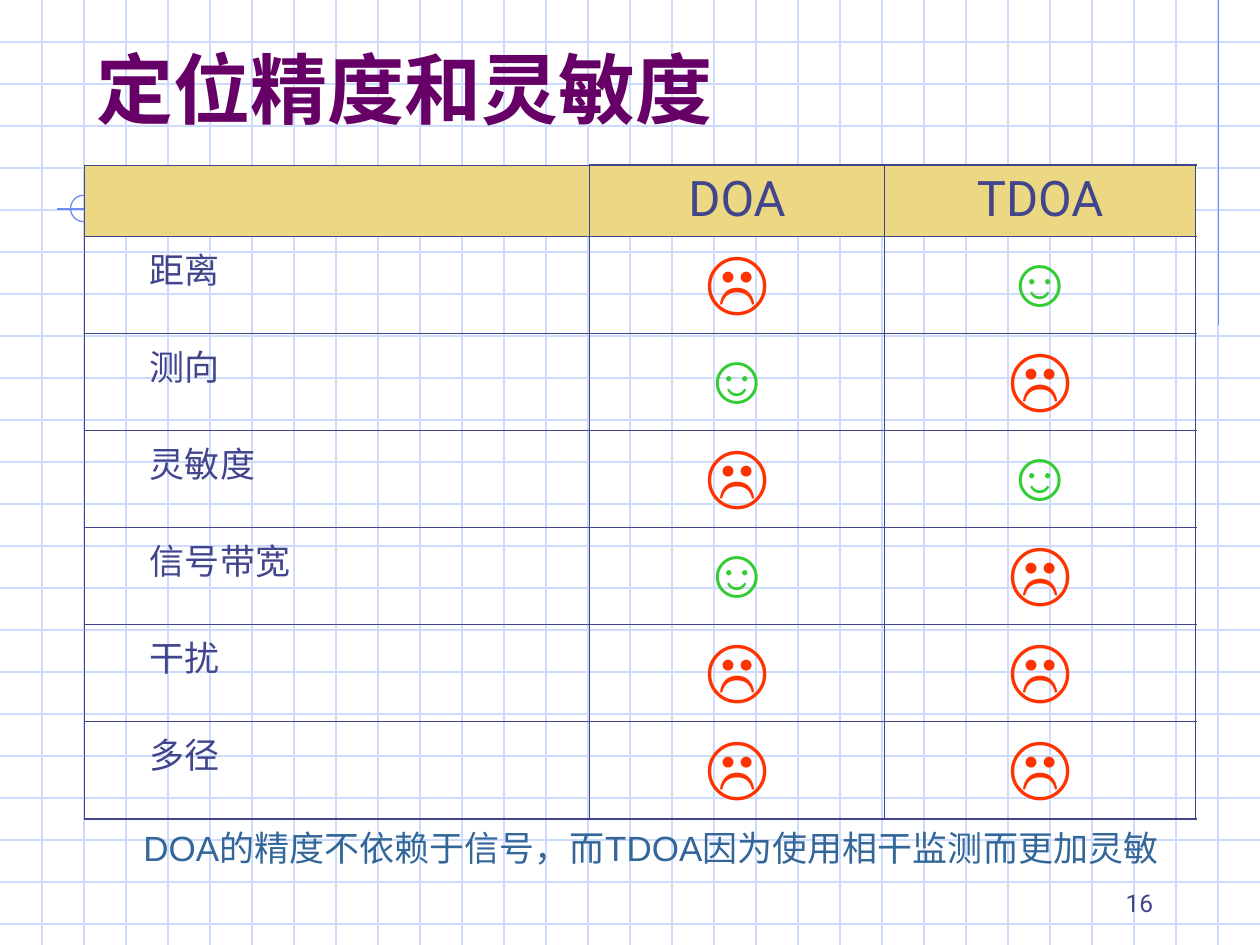
from lxml import etree
from pptx import Presentation
from pptx.dml.color import RGBColor
from pptx.enum.shapes import MSO_CONNECTOR, MSO_SHAPE
from pptx.enum.text import MSO_ANCHOR, PP_ALIGN
from pptx.oxml.ns import qn
from pptx.util import Inches, Pt

STRAIGHT = MSO_CONNECTOR.STRAIGHT
ARC = MSO_SHAPE.ARC
TOP, BOTTOM = MSO_ANCHOR.TOP, MSO_ANCHOR.BOTTOM
LEFT, CENTER, RIGHT = PP_ALIGN.LEFT, PP_ALIGN.CENTER, PP_ALIGN.RIGHT

COLORS = {
    "grid": "CFDBFD",
    "accent": "6F89F7",
    "title": "660066",
    "caption": "336699",
    "ink": "40458C",
    "header": "ECD882",
    "bad": "FF3300",
    "good": "33CC33",
}
FORMATS = {
    "title": {"size": Pt(44), "name": "Roboto", "bold": True},
    "caption": {"size": Pt(20), "name": "Arial", "bold": False},
    "number": {"size": Pt(14), "name": "Roboto", "bold": False},
    "header": {"size": Pt(28), "name": "Roboto", "bold": False},
    "label": {"size": Pt(20), "name": "Roboto", "bold": False},
    "face": {"size": Pt(40), "name": "Arial", "bold": True},
}
FACES = {"bad": "☹", "good": "☺"}
RATINGS = [
    ("距离", "bad", "good"),
    ("测向", "good", "bad"),
    ("灵敏度", "bad", "good"),
    ("信号带宽", "good", "bad"),
    ("干扰", "bad", "bad"),
    ("多径", "bad", "bad"),
]
WIDTH, HEIGHT = 10, 7.5
THIN, THICK = 0.45, 1.08


def rgb(color):
    return RGBColor.from_string(COLORS[color])


class Deck:
    def __init__(self):
        self.prs = Presentation()
        self.prs.slide_width = Inches(WIDTH)
        self.prs.slide_height = Inches(HEIGHT)
        self.s = self.prs.slides.add_slide(self.prs.slide_layouts[6])

    def paragraph(self, tf, text, style, color, align=LEFT):
        p = tf.paragraphs[0]
        p.alignment = align
        r = p.add_run()
        r.text = text
        for key, value in FORMATS[style].items():
            setattr(r.font, key, value)
        r.font.color.rgb = rgb(color)
        return p

    def text(self, box, text, style, color, align=LEFT, anchor=TOP):
        sp = self.s.shapes.add_textbox(*map(Inches, box))
        tf = sp.text_frame
        tf.word_wrap = True
        tf.vertical_anchor = anchor
        self.paragraph(tf, text, style, color, align)

    def line(self, x1, y1, x2, y2, color):
        sp = self.s.shapes.add_connector(STRAIGHT, *map(Inches, (x1, y1, x2, y2)))
        sp.line.color.rgb = rgb(color)
        sp.line.width = Pt(0.75)
        etree.SubElement(sp._element.spPr, qn("a:effectLst"))

    def grid(self, step):
        for i in range(1, int(HEIGHT / step) + 1):
            self.line(0, i * step, WIDTH, i * step, "grid")
        for i in range(1, int((WIDTH - 0.01) / step) + 1):
            self.line(i * step, 0, i * step, HEIGHT, "grid")

    def arc(self, box, start, end):
        sp = self.s.shapes.add_shape(ARC, *map(Inches, box))
        sp.adjustments[0] = start * 0.6
        sp.adjustments[1] = end * 0.6
        sp.shadow.inherit = False
        sp.fill.background()
        sp.line.color.rgb = rgb("accent")
        sp.line.width = Pt(0.75)

    def borders(self, cell, widths):
        tcPr = cell._tc.get_or_add_tcPr()
        for i, (side, width) in enumerate(widths.items()):
            ln = etree.Element(qn(f"a:ln{side}"), w=str(Pt(width)))
            fill = etree.SubElement(ln, qn("a:solidFill"))
            etree.SubElement(fill, qn("a:srgbClr"), val=COLORS["ink"])
            tcPr.insert(i, ln)

    def table(self, box, cols, rows):
        sp = self.s.shapes.add_table(len(rows), len(cols), *map(Inches, box))
        table = sp.table
        table.first_row = table.horz_banding = False
        for column, width in zip(table.columns, cols):
            column.width = Inches(width)
        for row, height in zip(table.rows, rows):
            row.height = Inches(height)
        last_row, last_col = len(rows) - 1, len(cols) - 1
        for i in range(len(rows)):
            for j in range(len(cols)):
                cell = table.cell(i, j)
                if i == 0:
                    cell.fill.solid()
                    cell.fill.fore_color.rgb = rgb("header")
                else:
                    cell.fill.background()
                self.borders(cell, {
                    "L": THICK if j == 0 else THIN,
                    "R": THICK if j == last_col else THIN,
                    "T": THICK if i == 0 and j > 0 else THIN,
                    "B": THICK if i == last_row else THIN,
                })
        return table

    def ratings(self, box, cols, rows):
        table = self.table(box, cols, rows)
        for j, method in enumerate(("DOA", "TDOA"), 1):
            self.paragraph(table.cell(0, j).text_frame, method, "header", "ink", CENTER)
        for i, (label, *scores) in enumerate(RATINGS, 1):
            p = self.paragraph(table.cell(i, 0).text_frame, label, "label", "ink")
            p._p.get_or_add_pPr().set("marL", str(Inches(0.42)))
            for j, score in enumerate(scores, 1):
                tf = table.cell(i, j).text_frame
                self.paragraph(tf, FACES[score], "face", score, CENTER)


def main():
    deck = Deck()
    deck.grid(1 / 3)
    deck.line(9.67, 0, 9.67, 2.58, "accent")
    deck.line(2.4, 1.66, 0.45, 1.66, "accent")
    deck.line(0.67, 1.55, 0.67, 4.09, "accent")
    deck.arc((0.56, 1.55, 0.21, 0.21), 0, 270)
    deck.text((0.67, 0.36, 8.5, 0.75), "定位精度和灵敏度", "title", "title", anchor=BOTTOM)
    deck.text((1.04, 6.51, 8.96, 0.44),
              "DOA的精度不依赖于信号，而TDOA因为使用相干监测而更加灵敏", "caption", "caption")
    deck.ratings((0.67, 1.31, 8.82, 5.19), (4.01, 2.34, 2.47), [0.57] + [0.77] * len(RATINGS))
    deck.text((7.17, 6.83, 2.08, 0.5), "16", "number", "ink", RIGHT, BOTTOM)
    deck.prs.save("out.pptx")


if __name__ == "__main__":
    main()
